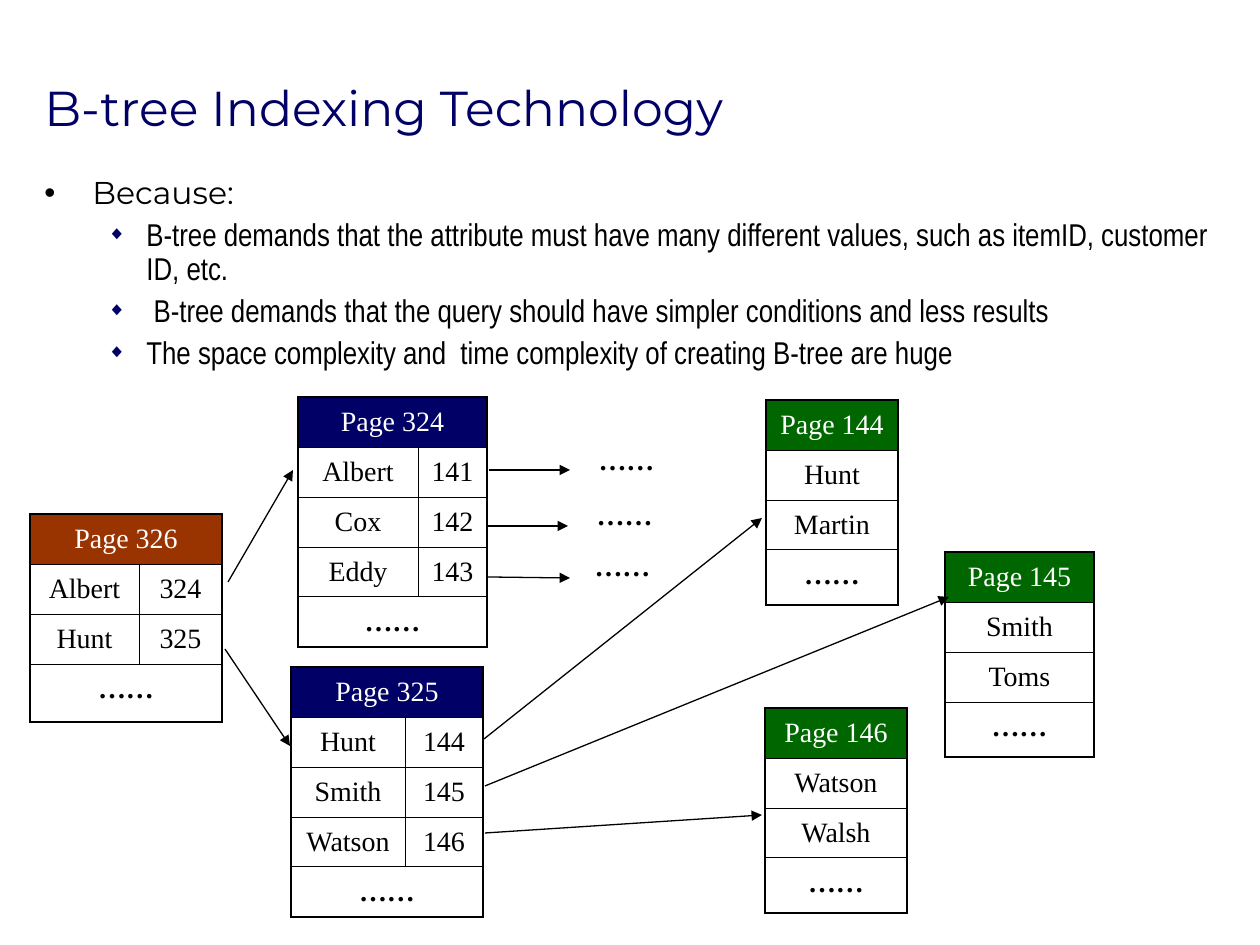
"""Build the B-tree indexing slide with its linked index pages."""
from dataclasses import dataclass

from lxml.etree import SubElement
from pptx import Presentation
from pptx.dml.color import RGBColor
from pptx.enum.shapes import MSO_CONNECTOR
from pptx.enum.text import MSO_ANCHOR, MSO_AUTO_SIZE, PP_ALIGN
from pptx.oxml import parse_xml
from pptx.oxml.ns import nsdecls, qn
from pptx.util import Pt

EMU_PER_PX = 914400 / 126
ROW_H = 50
DOTS = "……"
BLACK, WHITE, NAVY, GREEN, BROWN = "000000", "FFFFFF", "000066", "006600", "993300"
SERIF, SANS, NARROW = "Times New Roman", "Montserrat", "Arial Narrow"


@dataclass(frozen=True)
class Page:
    """An index page: heading, entries and a closing row of dots."""
    number: int
    fill: str
    left: int
    top: int
    cols: tuple[int, ...]
    entries: tuple[tuple[str, ...], ...]
    last_h: int


@dataclass(frozen=True)
class Arrow:
    """A pointer from one place to another."""
    x1: int
    y1: int
    x2: int
    y2: int


@dataclass(frozen=True)
class Item:
    """A bulleted line of the body text."""
    text: str
    font: str
    bullet: str
    bullet_color: str
    bullet_pct: int
    margin: int
    hang: int


def reason(text: str) -> Item:
    """Return a second-level item."""
    return Item(text, NARROW, "◆", NAVY, 60, 102, 39)


ITEMS = (
    Item("Because:", SANS, "•", BLACK, 100, 48, 48),
    reason("B-tree demands that the attribute must have many different values, "
           "such as itemID, customer ID, etc."),
    reason(" B-tree demands that the query should have simpler conditions and less results"),
    reason("The space complexity and  time complexity of creating B-tree are huge"),
)
PAGES = (
    Page(326, BROWN, 30, 514, (109, 83), (("Albert", "324"), ("Hunt", "325")), 58),
    Page(324, NAVY, 298, 397, (120, 69),
         (("Albert", "141"), ("Cox", "142"), ("Eddy", "143")), 50),
    Page(325, NAVY, 291, 667, (114, 78),
         (("Hunt", "144"), ("Smith", "145"), ("Watson", "146")), 50),
    Page(144, GREEN, 766, 400, (132,), (("Hunt",), ("Martin",)), 55),
    Page(145, GREEN, 945, 552, (149,), (("Smith",), ("Toms",)), 55),
    Page(146, GREEN, 765, 708, (142,), (("Watson",), ("Walsh",)), 55),
)
ARROWS = (
    Arrow(228, 582, 293, 470), Arrow(225, 649, 290, 746),
    Arrow(489, 470, 570, 470), Arrow(488, 526, 568, 526), Arrow(488, 577, 570, 578),
    Arrow(484, 739, 762, 518), Arrow(485, 786, 949, 597), Arrow(485, 833, 762, 815),
)
DOT_PLACES = ((586, 433), (584, 488), (582, 539))


def px(n: int) -> int:
    """Turn pixels into EMU."""
    return round(n * EMU_PER_PX)


def rgb(color: str) -> RGBColor:
    """Turn a hex string into a colour."""
    return RGBColor.from_string(color)


def add_run(p, text: str, font: str, size: int, color: str, bold: bool = False) -> None:
    """Add one formatted run to a paragraph."""
    r = p.add_run()
    r.text = text
    r.font.name, r.font.size, r.font.bold = font, Pt(size), bold
    r.font.color.rgb = rgb(color)


def add_label(p, text: str, color: str = BLACK) -> None:
    """Write a centred page label, with dots in bold."""
    p.alignment, p.line_spacing = PP_ALIGN.CENTER, 1.1
    add_run(p, text, SERIF, 16, color, text == DOTS)


def add_box(s, x: int, y: int, w: int, h: int):
    """Add a wrapping text box and return its frame."""
    tf = s.shapes.add_textbox(px(x), px(y), px(w), px(h)).text_frame
    tf.word_wrap = True
    return tf


def add_items(s) -> None:
    """Write the bulleted body text."""
    tf = add_box(s, 32, 171, 1228, 677)
    for i, item in enumerate(ITEMS):
        p = tf.add_paragraph() if i else tf.paragraphs[0]
        p.line_spacing = 0.9
        if i:
            p.level, p.space_before = 1, Pt(4.5)
        pPr = p._p.get_or_add_pPr()
        pPr.set("marL", str(px(item.margin)))
        pPr.set("indent", str(-px(item.hang)))
        clr = SubElement(pPr, qn("a:buClr"))
        SubElement(clr, qn("a:srgbClr"), val=item.bullet_color)
        SubElement(pPr, qn("a:buSzPct"), val=str(item.bullet_pct * 1000))
        SubElement(pPr, qn("a:buFont"), typeface="Arial")
        SubElement(pPr, qn("a:buChar"), char=item.bullet)
        add_run(p, item.text, item.font, 18, BLACK)


def set_borders(cell, outer: dict[str, bool]) -> None:
    """Draw cell borders, heavier on the outer sides."""
    tcPr = cell._tc.get_or_add_tcPr()
    for i, (side, is_outer) in enumerate(outer.items()):
        width = Pt(1.08 if is_outer else 0.45)
        tcPr.insert(i, parse_xml(
            f'<a:ln{side} {nsdecls("a")} w="{width}"><a:solidFill>'
            f'<a:srgbClr val="{BLACK}"/></a:solidFill></a:ln{side}>'))


def add_page(s, page: Page) -> None:
    """Draw an index page as a table."""
    rows = ((f"Page {page.number}",), *page.entries, (DOTS,))
    heights = [ROW_H] * (len(rows) - 1) + [page.last_h]
    last_row, last_col = len(rows) - 1, len(page.cols) - 1
    tbl = s.shapes.add_table(len(rows), len(page.cols), px(page.left), px(page.top),
                             px(sum(page.cols)), px(sum(heights))).table
    tbl.first_row = tbl.horz_banding = False
    for col, w in zip(tbl.columns, page.cols):
        col.width = px(w)
    for i, (texts, h) in enumerate(zip(rows, heights)):
        tbl.rows[i].height = px(h)
        merged = len(texts) <= last_col
        if merged:
            tbl.cell(i, 0).merge(tbl.cell(i, last_col))
        for j in range(last_col + 1):
            cell = tbl.cell(i, j)
            if i == 0:
                cell.fill.solid()
                cell.fill.fore_color.rgb = rgb(page.fill)
            else:
                cell.fill.background()
            set_borders(cell, {"L": j == 0, "R": merged or j == last_col,
                               "T": i == 0, "B": i == last_row})
        for j, text in enumerate(texts):
            add_label(tbl.cell(i, j).text_frame.paragraphs[0], text, BLACK if i else WHITE)


def add_arrow(s, a: Arrow) -> None:
    """Draw a thin line ending in a triangle."""
    sp = s.shapes.add_connector(MSO_CONNECTOR.STRAIGHT, px(a.x1), px(a.y1), px(a.x2), px(a.y2))
    sp.line.width = Pt(0.75)
    sp.line.color.rgb = rgb(BLACK)
    SubElement(sp.line._get_or_add_ln(), qn("a:tailEnd"), type="triangle")
    SubElement(sp._element.spPr, qn("a:effectLst"))


def main() -> None:
    """Build and save the slide."""
    prs = Presentation()
    prs.slide_width, prs.slide_height = px(1260), px(945)
    s = prs.slides.add_slide(prs.slide_layouts[6])
    tf = add_box(s, 32, 70, 1187, 73)
    tf.vertical_anchor = MSO_ANCHOR.BOTTOM
    add_run(tf.paragraphs[0], "B-tree Indexing Technology", SANS, 28, NAVY)
    add_items(s)
    for page in PAGES:
        add_page(s, page)
    for arrow in ARROWS:
        add_arrow(s, arrow)
    for x, y in DOT_PLACES:
        tf = add_box(s, x, y, 81, 50)
        tf.word_wrap, tf.auto_size = False, MSO_AUTO_SIZE.SHAPE_TO_FIT_TEXT
        add_label(tf.paragraphs[0], DOTS)
    prs.save("out.pptx")


if __name__ == "__main__":
    main()
